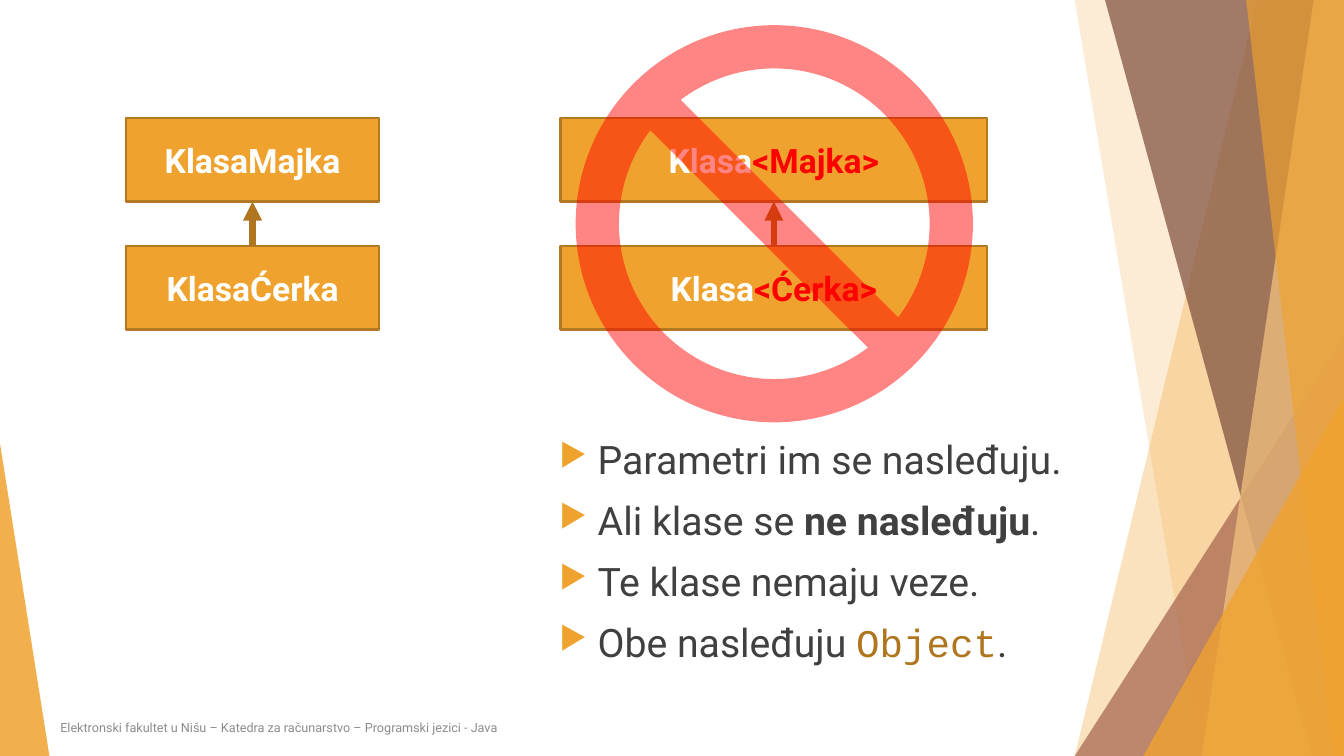
import pptx
import pptx.dml.color
import pptx.enum.shapes
import pptx.enum.text
import pptx.oxml
import pptx.oxml.ns
import pptx.util

Inches = pptx.util.Inches
Pt = pptx.util.Pt
qn = pptx.oxml.ns.qn
MSO_SHAPE = pptx.enum.shapes.MSO_SHAPE
ANCHOR = pptx.enum.text.MSO_ANCHOR
ALIGN = pptx.enum.text.PP_ALIGN

WIDTH, HEIGHT = 13.33, 7.5
ORANGE, BROWN, BORDER = "F0A22E", "B0761F", "B27822"
WHITE, RED, DARK, GRAY = "FFFFFF", "FF0000", "404040", "8C8C8C"
BODY_FONT, CODE_FONT = "Roboto", "Courier New"

# kind, then left edge at top and at bottom for bands, or box and apex for triangles
DECORATION = [
    ("band", (12.47, 10.66), ORANGE, 30),
    ("band", (10.66, 11.91), ORANGE, 20),
    ("triangle", (10.66, 3.34, 2.67, 1), "A5644E", 72),
    ("band", (10.96, 13.01), "7C4B3B", 70),
    ("band", (13.03, 11.92), "F6C782", 70),
    ("band", (12.36, 13.22), ORANGE, 65),
    ("triangle", (11.34, 3.94, 1.99, 1), ORANGE, 80),
    ("triangle", (0, 4.4, 0.49, 0), ORANGE, 85),
]
FOOTER = "Elektronski fakultet u Nišu – Katedra za računarstvo – Programski jezici - Java"
HIERARCHIES = [
    (1.25, 2.51, [[("KlasaMajka", WHITE)], [("KlasaĆerka", WHITE)]]),
    (5.56, 4.23, [[("Klasa", WHITE), ("<Majka>", RED)], [("Klasa", WHITE), ("<Ćerka>", RED)]]),
]
CLASS_TOP, CLASS_HEIGHT, CLASS_STEP = 1.17, 0.83, 1.27
BULLETS = [
    [("Parametri im se nasleđuju.", "plain")],
    [("Ali klase se ", "plain"), ("ne nasleđuju", "bold"), (".", "plain")],
    [("Te klase nemaju veze.", "plain")],
    [("Obe nasleđuju ", "plain"), ("Object", "code"), (".", "plain")],
]
RUN_STYLES = {
    "plain": (BODY_FONT, DARK, False),
    "bold": (BODY_FONT, DARK, True),
    "code": (CODE_FONT, BROWN, False),
}


def color(value):
    return pptx.dml.color.RGBColor.from_string(value)


def paint(shape, fill, opacity=100, border=None):
    shape.shadow.inherit = False
    shape.fill.solid()
    shape.fill.fore_color.rgb = color(fill)
    if opacity < 100:
        fill_color = shape._element.spPr.find(qn("a:solidFill"))[0]
        alpha = pptx.oxml.parse_xml(
            '<a:alpha xmlns:a="http://schemas.openxmlformats.org/drawingml/2006/main"'
            f' val="{opacity * 1000}"/>')
        fill_color.append(alpha)
    if border:
        shape.line.color.rgb = color(border)
        shape.line.width = Pt(1.5)
    else:
        shape.line.fill.background()


def add_run(paragraph, text, size, text_color, font=BODY_FONT, bold=False):
    run = paragraph.add_run()
    run.text = text
    run.font.name = font
    run.font.size = Pt(size)
    run.font.bold = bold
    run.font.color.rgb = color(text_color)


def add_preset(shapes, kind, left, top, width, height):
    return shapes.add_shape(kind, Inches(left), Inches(top), Inches(width), Inches(height))


def add_decoration(shapes, kind, geometry, fill, opacity):
    if kind == "band":
        top_left, bottom_left = geometry
        builder = shapes.build_freeform(Inches(top_left), 0)
        corners = [(WIDTH, 0), (WIDTH, HEIGHT), (bottom_left, HEIGHT)]
        builder.add_line_segments([(Inches(x), Inches(y)) for x, y in corners], close=True)
        shape = builder.convert_to_shape()
    else:
        left, top, width, apex = geometry
        shape = add_preset(shapes, MSO_SHAPE.ISOSCELES_TRIANGLE, left, top, width, HEIGHT - top)
        shape.adjustments[0] = apex
    paint(shape, fill, opacity)


def add_text_box(shapes, left, top, width, height):
    box = shapes.add_textbox(Inches(left), Inches(top), Inches(width), Inches(height))
    box.text_frame.word_wrap = True
    return box.text_frame


def add_class(shapes, left, top, width, runs):
    shape = add_preset(shapes, MSO_SHAPE.RECTANGLE, left, top, width, CLASS_HEIGHT)
    paint(shape, ORANGE, border=BORDER)
    shape.text_frame.vertical_anchor = ANCHOR.MIDDLE
    paragraph = shape.text_frame.paragraphs[0]
    paragraph.alignment = ALIGN.CENTER
    for text, text_color in runs:
        add_run(paragraph, text, 24, text_color, bold=True)
    return shape


def add_inheritance_arrow(shapes, child, parent):
    arrow = shapes.add_connector(pptx.enum.shapes.MSO_CONNECTOR.STRAIGHT, 0, 0, 0, 0)
    arrow.begin_connect(child, 0)
    arrow.end_connect(parent, 2)
    arrow.line.color.rgb = color(BROWN)
    arrow.line.width = Pt(4.5)
    line = arrow.line._get_or_add_ln()
    line.append(line.makeelement(qn("a:tailEnd"), {"type": "triangle"}))
    properties = arrow._element.spPr
    properties.append(properties.makeelement(qn("a:effectLst"), {}))


def add_bullet(paragraph):
    properties = paragraph._p.get_or_add_pPr()
    indent = Inches(0.38)
    properties.set("marL", str(indent))
    properties.set("indent", str(-indent))
    bullet_color = properties.makeelement(qn("a:buClr"), {})
    bullet_color.append(properties.makeelement(qn("a:srgbClr"), {"val": ORANGE}))
    properties.append(bullet_color)
    for tag, attributes in [("a:buSzPct", {"val": "80000"}), ("a:buChar", {"char": "▶"})]:
        properties.append(properties.makeelement(qn(tag), attributes))


def main():
    presentation = pptx.Presentation()
    presentation.slide_width = Inches(WIDTH)
    presentation.slide_height = Inches(HEIGHT)
    slide = presentation.slides.add_slide(presentation.slide_layouts[6])
    shapes = slide.shapes

    for decoration in DECORATION:
        add_decoration(shapes, *decoration)

    footer = add_text_box(shapes, 0.5, 7.02, 7.13, 0.4)
    footer.vertical_anchor = ANCHOR.MIDDLE
    add_run(footer.paragraphs[0], FOOTER, 9, GRAY)

    for left, width, classes in HIERARCHIES:
        parent, child = [
            add_class(shapes, left, CLASS_TOP + row * CLASS_STEP, width, runs)
            for row, runs in enumerate(classes)
        ]
        add_inheritance_arrow(shapes, child, parent)

    prohibition = add_preset(shapes, MSO_SHAPE.NO_SYMBOL, 5.71, 0.25, 3.94, 3.94)
    prohibition.adjustments[0] = 0.109
    paint(prohibition, RED, 48)

    body = add_text_box(shapes, 5.45, 4.27, 5.55, 2.73)
    for index, runs in enumerate(BULLETS):
        paragraph = body.add_paragraph() if index else body.paragraphs[0]
        add_bullet(paragraph)
        if index:
            paragraph.space_before = Pt(10)
        for text, style in runs:
            font, text_color, bold = RUN_STYLES[style]
            add_run(paragraph, text, 28, text_color, font, bold)

    presentation.save("out.pptx")


if __name__ == "__main__":
    main()
